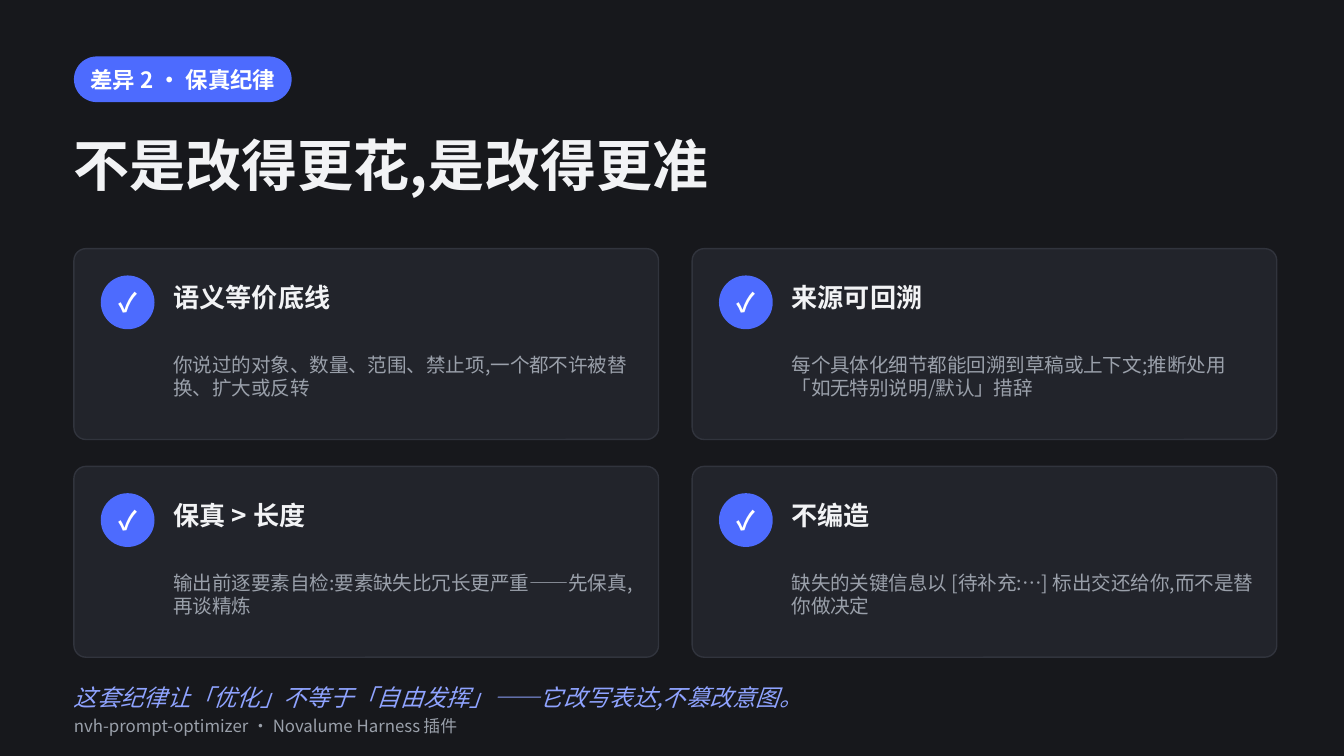
from pptx import Presentation
from pptx.dml.color import RGBColor
from pptx.enum.shapes import MSO_SHAPE
from pptx.enum.text import MSO_ANCHOR, PP_ALIGN
from pptx.oxml.ns import qn
from pptx.util import Pt

BADGE = "差异 2 · 保真纪律"
TITLE = "不是改得更花,是改得更准"
CARDS = [
    ("语义等价底线", "你说过的对象、数量、范围、禁止项,一个都不许被替换、扩大或反转"),
    ("来源可回溯", "每个具体化细节都能回溯到草稿或上下文;推断处用「如无特别说明/默认」措辞"),
    ("保真 > 长度", "输出前逐要素自检:要素缺失比冗长更严重——先保真,再谈精炼"),
    ("不编造", "缺失的关键信息以 [待补充:…] 标出交还给你,而不是替你做决定"),
]
SUMMARY = "这套纪律让「优化」不等于「自由发挥」——它改写表达,不篡改意图。"
FOOTER = "nvh-prompt-optimizer · Novalume Harness 插件"

FONT = "Noto Sans CJK SC"
BACKGROUND, PANEL, BORDER = "17181C", "22242B", "31343D"
ACCENT, LIGHT_ACCENT = "4D6BFE", "8FA3FF"
WHITE, BRIGHT, MUTED = "FFFFFF", "F2F3F5", "9AA0AA"

MARGIN, CARDS_TOP = 39.6, 133.2
CARD_W, CARD_H = 313.2, 102.24
GAP_X, GAP_Y = 18, 14.4
PAD, CHECK_SIZE, TEXT_INDENT = 14.4, 28.8, 53.28


def color(hex_string):
    """Turn a hex string into a colour."""
    return RGBColor.from_string(hex_string)


def add_panel(slide, kind, box, fill, line=None, radius=None):
    """Draw a flat filled shape; radius is the corner adjustment."""
    shape = slide.shapes.add_shape(kind, *map(Pt, box))
    shape.shadow.inherit = False
    shape.fill.solid()
    shape.fill.fore_color.rgb = color(fill)
    if line:
        shape.line.color.rgb = color(line)
        shape.line.width = Pt(0.75)
    else:
        shape.line.fill.background()
    if radius is not None:
        shape.adjustments[0] = radius


def add_text(slide, box, text, size, ink, bold=False, italic=False,
             align=PP_ALIGN.LEFT):
    """Place wrapped, vertically centred text without insets."""
    frame = slide.shapes.add_textbox(*map(Pt, box)).text_frame
    frame.word_wrap = True
    frame.vertical_anchor = MSO_ANCHOR.MIDDLE
    frame.margin_left = frame.margin_right = 0
    frame.margin_top = frame.margin_bottom = 0
    paragraph = frame.paragraphs[0]
    paragraph.alignment = align
    run = paragraph.add_run()
    run.text = text
    font = run.font
    font.name, font.size = FONT, Pt(size)
    font.bold, font.italic = bold, italic
    font.color.rgb = color(ink)
    east_asian = run._r.get_or_add_rPr().makeelement(
        qn("a:ea"), {"typeface": FONT})
    run._r.rPr.append(east_asian)


def add_card(slide, left, top, heading, body):
    """Draw one card with its check mark, heading and body."""
    add_panel(slide, MSO_SHAPE.ROUNDED_RECTANGLE, (left, top, CARD_W, CARD_H),
              PANEL, BORDER, 0.063)
    check = (left + PAD, top + PAD, CHECK_SIZE, CHECK_SIZE)
    add_panel(slide, MSO_SHAPE.OVAL, check, ACCENT)
    add_text(slide, check, "✓", 14, WHITE, bold=True, align=PP_ALIGN.CENTER)
    text_left = left + TEXT_INDENT
    add_text(slide, (text_left, top + 12.96, 244.8, 25.92), heading, 14,
             BRIGHT, bold=True)
    add_text(slide, (text_left, top + 40.32, 248.4, 56.16), body, 10.5, MUTED)


def build():
    """Build and save the slide."""
    deck = Presentation()
    deck.slide_width, deck.slide_height = Pt(720), Pt(405)
    slide = deck.slides.add_slide(deck.slide_layouts[6])
    slide.background.fill.solid()
    slide.background.fill.fore_color.rgb = color(BACKGROUND)

    badge = (MARGIN, 30.24, 116.64, 24.48)
    add_panel(slide, MSO_SHAPE.ROUNDED_RECTANGLE, badge, ACCENT, radius=0.5)
    add_text(slide, badge, BADGE, 12, WHITE, bold=True, align=PP_ALIGN.CENTER)
    add_text(slide, (MARGIN, 61.92, 640.8, 51.84), TITLE, 30, BRIGHT, bold=True)
    add_text(slide, (MARGIN, 378.72, 360, 20.16), FOOTER, 9, MUTED)

    for index, (heading, body) in enumerate(CARDS):
        row, column = divmod(index, 2)
        add_card(slide, MARGIN + column * (CARD_W + GAP_X),
                 CARDS_TOP + row * (CARD_H + GAP_Y), heading, body)

    add_text(slide, (MARGIN, 361.44, 640.8, 24.48), SUMMARY, 12.5,
             LIGHT_ACCENT, italic=True)
    deck.save("out.pptx")


build()
